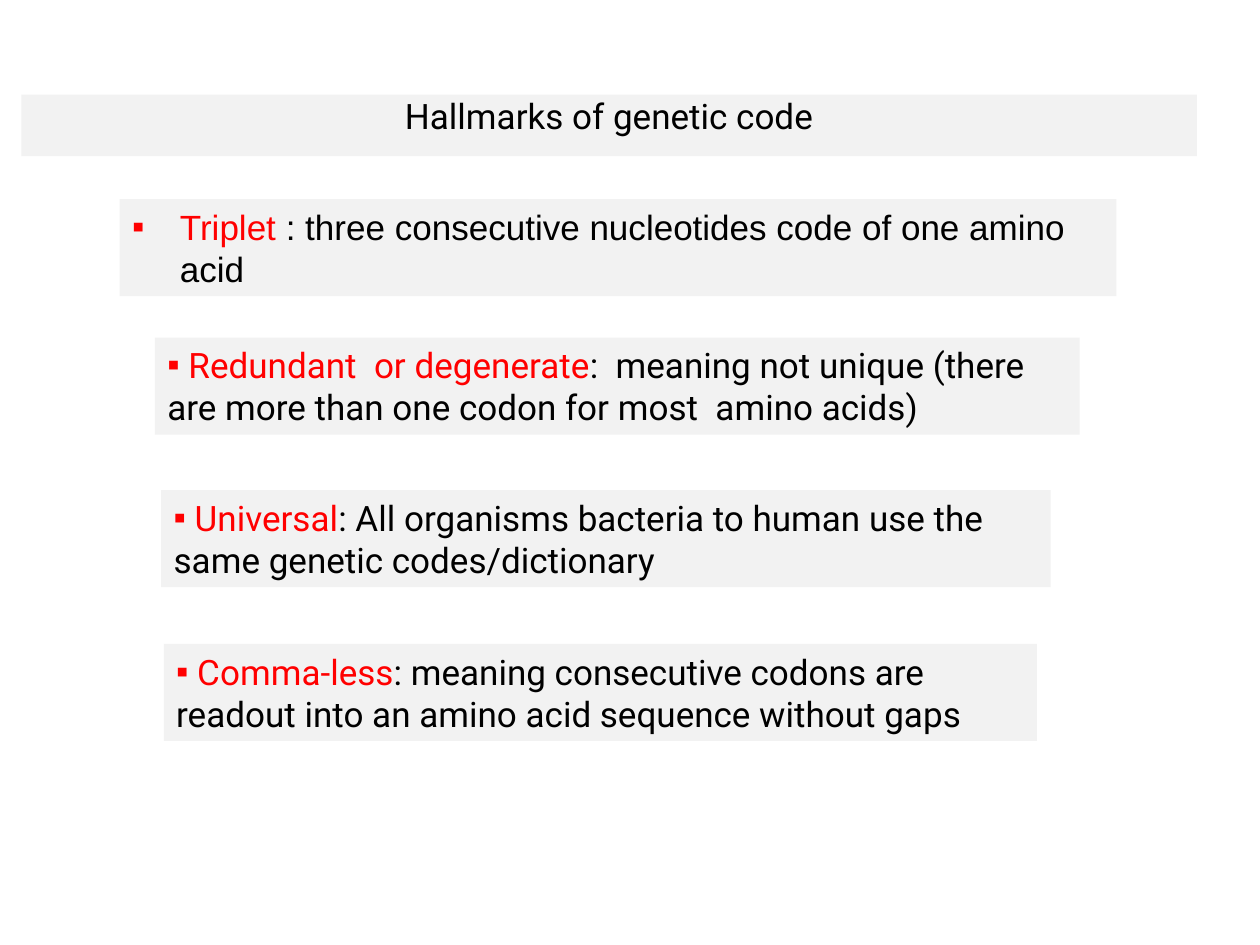
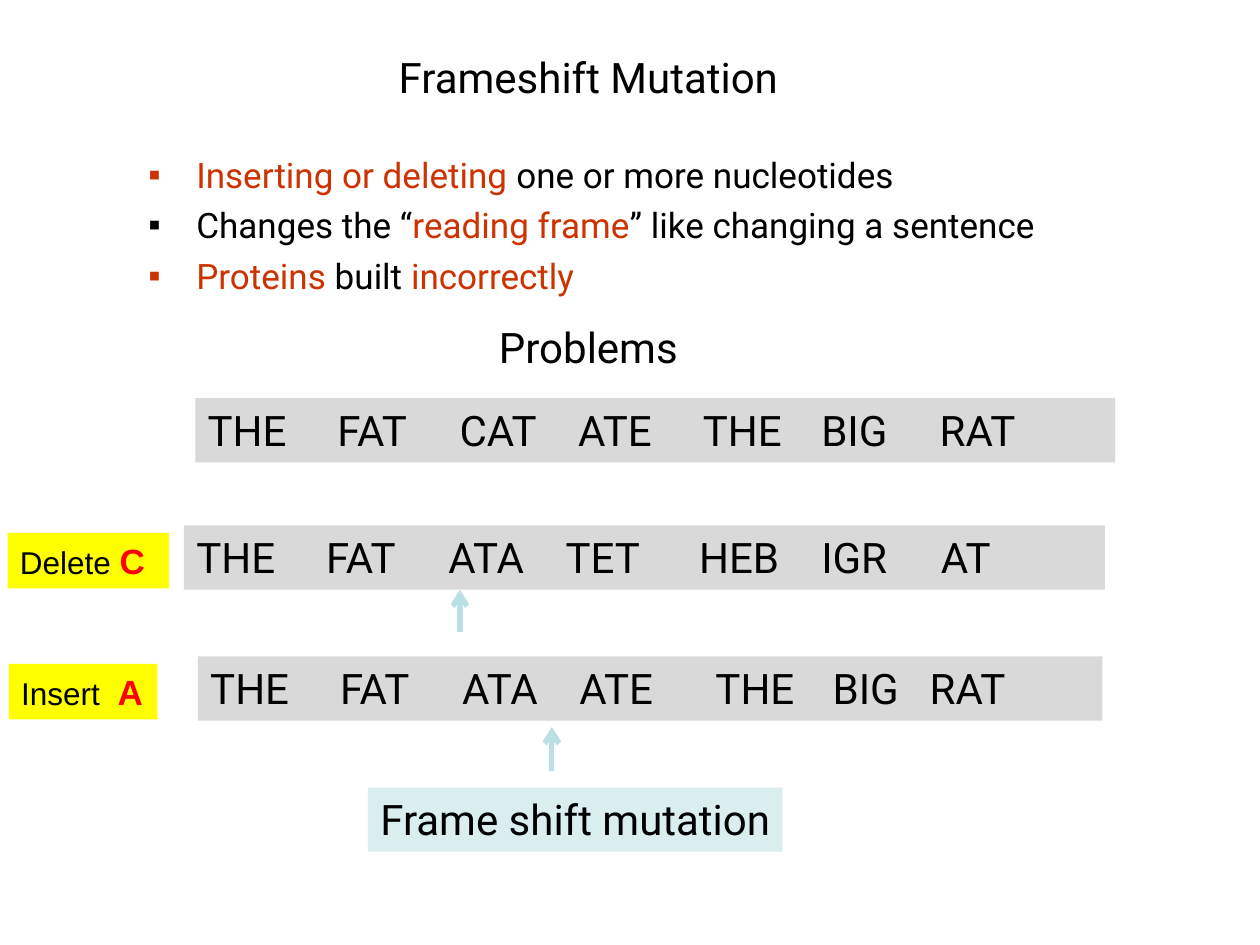
from dataclasses import dataclass
from lxml import etree
from pptx import Presentation
from pptx.dml.color import RGBColor
from pptx.enum.shapes import MSO_CONNECTOR as Connector, MSO_SHAPE as Shape
from pptx.enum.text import MSO_ANCHOR as Anchor, PP_ALIGN as Align
from pptx.oxml.ns import qn
from pptx.util import Inches, Pt


@dataclass(frozen=True)
class Theme:
    black: str = "000000"
    red: str = "FF0000"
    rust: str = "CC3300"
    panel: str = "F2F2F2"
    strip: str = "D9D9D9"
    yellow: str = "FFFF00"
    aqua: str = "DAEDEF"
    arrow: str = "BBE0E3"
    sans: str = "Roboto"
    plain: str = "Arial"
    heading: int = 24
    body: int = 20
    label: int = 18
    indent: float = 0.38
    paragraph_gap: float = 4.7
    arrow_width: int = 3


THEME = Theme()

# Content: runs are (text, colour); places are (left, top, width, height)
HALLMARKS_TITLE = ("Hallmarks of genetic code", (0.17, 0.75, 9.33, 0.49))
HALLMARKS = [
    # term, explanation, place, font, hanging indent
    ("Triplet ", ": three consecutive nucleotides code of one amino acid",
     (0.95, 1.58, 7.91, 0.77), THEME.plain, THEME.indent),
    (" Redundant  or degenerate",
     ":  meaning not unique (there are more than one codon for most  amino acids)",
     (1.23, 2.68, 7.34, 0.77), THEME.sans, 0),
    (" Universal", ": All organisms bacteria to human use the same genetic codes/dictionary",
     (1.28, 3.89, 7.06, 0.77), THEME.sans, 0),
    (" Comma-less",
     ": meaning consecutive codons are readout into an amino acid sequence without gaps",
     (1.3, 5.11, 6.93, 0.77), THEME.sans, 0),
]

FRAMESHIFT_HEADINGS = [
    ("Frameshift Mutation", (1.42, 0.25, 6.5, 0.71)),
    ("Problems", (2.71, 2.5, 3.92, 0.5)),
]
FRAMESHIFT_POINTS = [
    [("Inserting or deleting ", THEME.rust), ("one or more nucleotides", THEME.black)],
    [("Changes the “", THEME.black), ("reading frame", THEME.rust),
     ("” like changing a sentence", THEME.black)],
    [("Proteins", THEME.rust), (" built ", THEME.black), ("incorrectly", THEME.rust)],
]
POINTS_PLACE = (1.08, 1.17, 8.25, 1.33)
SENTENCES = [
    # words, tab stops, place
    ("THE FAT CAT ATE THE BIG RAT", (1.03, 2, 2.94, 3.93, 4.87, 5.81), (1.55, 3.16, 7.3, 0.51)),
    ("THE FAT ATA TET HEB IGR AT", (1.03, 2, 2.93, 3.99, 4.96, 5.91), (1.46, 4.17, 7.31, 0.51)),
    ("THE FAT ATA ATE THE BIG RAT", (1.03, 2, 2.93, 4.01, 4.94, 5.71), (1.57, 5.21, 7.18, 0.51)),
]
EDITS = [
    # action, letter, place
    ("Delete ", "C", (0.06, 4.23, 1.28, 0.44)),
    ("Insert  ", "A", (0.07, 5.27, 1.18, 0.44)),
]
ARROWS = [(3.65, 5.02, 4.68), (4.38, 6.12, 5.77)]  # x, start y, tip y
RESULT = ("Frame shift mutation", (2.92, 6.25, 3.29, 0.51))


def add_box(slide, place, fill=None, anchor=Anchor.TOP, wrap=True):
    """Add a filled rectangle, or a text box when there is no fill."""
    place = [Inches(length) for length in place]
    if fill:
        shape = slide.shapes.add_shape(Shape.RECTANGLE, *place)
        shape.shadow.inherit = False
        shape.fill.solid()
        shape.fill.fore_color.rgb = RGBColor.from_string(fill)
        shape.line.fill.background()
    else:
        shape = slide.shapes.add_textbox(*place)
    shape.text_frame.word_wrap = wrap
    shape.text_frame.vertical_anchor = anchor
    return shape


def write(paragraph, runs, size, font=THEME.sans, align=Align.LEFT):
    paragraph.alignment = align
    for text, color in runs:
        run = paragraph.add_run()
        run.text = text
        run.font.name = font
        run.font.size = Pt(size)
        run.font.color.rgb = RGBColor.from_string(color)


def add_bullet(paragraph, color, indent):
    properties = paragraph._p.get_or_add_pPr()
    properties.set("marL", str(Inches(indent)))
    properties.set("indent", str(-Inches(indent)))
    bullet_color = etree.SubElement(properties, qn("a:buClr"))
    etree.SubElement(bullet_color, qn("a:srgbClr"), val=color)
    etree.SubElement(properties, qn("a:buFont"), typeface=THEME.plain)
    etree.SubElement(properties, qn("a:buChar"), char="▪")


def add_tabs(paragraph, stops):
    tabs = etree.SubElement(paragraph._p.get_or_add_pPr(), qn("a:tabLst"))
    for stop in stops:
        etree.SubElement(tabs, qn("a:tab"), pos=str(Inches(stop)), algn="l")


def add_heading(slide, text, place, size=THEME.heading, fill=None, anchor=Anchor.MIDDLE):
    shape = add_box(slide, place, fill, anchor)
    write(shape.text_frame.paragraphs[0], [(text, THEME.black)], size, align=Align.CENTER)
    return shape


def add_arrow(slide, x, start, tip):
    connector = slide.shapes.add_connector(
        Connector.STRAIGHT, Inches(x), Inches(start), Inches(x), Inches(tip))
    connector.line.color.rgb = RGBColor.from_string(THEME.arrow)
    connector.line.width = Pt(THEME.arrow_width)
    etree.SubElement(connector.line._get_or_add_ln(), qn("a:tailEnd"), type="arrow")
    etree.SubElement(connector._element.spPr, qn("a:effectLst"))


def build_hallmarks(slide):
    # The title sits at the very top of its band
    title = add_heading(slide, *HALLMARKS_TITLE, THEME.body, THEME.panel, Anchor.TOP)
    title.text_frame.margin_top = 0

    # One panel per hallmark
    for term, explanation, place, font, indent in HALLMARKS:
        paragraph = add_box(slide, place, THEME.panel).text_frame.paragraphs[0]
        add_bullet(paragraph, THEME.red, indent)
        write(paragraph, [(term, THEME.red), (explanation, THEME.black)], THEME.body, font)


def build_frameshift(slide):
    for text, place in FRAMESHIFT_HEADINGS:
        add_heading(slide, text, place)

    # Bulleted points
    text_frame = add_box(slide, POINTS_PLACE).text_frame
    for index, runs in enumerate(FRAMESHIFT_POINTS):
        paragraph = text_frame.add_paragraph() if index else text_frame.paragraphs[0]
        add_bullet(paragraph, runs[0][1], THEME.indent)
        if index:
            paragraph.space_before = Pt(THEME.paragraph_gap)
        write(paragraph, runs, THEME.body)

    # Sentences of three-letter words
    for words, stops, place in SENTENCES:
        paragraph = add_box(slide, place, THEME.strip).text_frame.paragraphs[0]
        add_tabs(paragraph, stops)
        write(paragraph, [("\t".join(words.split()), THEME.black)], THEME.heading)

    # Edit labels
    for action, letter, place in EDITS:
        paragraph = add_box(slide, place, THEME.yellow, wrap=False).text_frame.paragraphs[0]
        write(paragraph, [(action, THEME.black)], THEME.label, THEME.plain)
        write(paragraph, [(letter, THEME.red)], THEME.body, THEME.plain)
        paragraph.runs[-1].font.bold = True

    # Arrows to the shifted letters, and the result
    for arrow in ARROWS:
        add_arrow(slide, *arrow)
    text, place = RESULT
    result = add_box(slide, place, THEME.aqua, wrap=False)
    write(result.text_frame.paragraphs[0], [(text, THEME.black)], THEME.heading)


def main():
    presentation = Presentation()
    presentation.slide_width = Inches(10)
    presentation.slide_height = Inches(7.5)
    for build in (build_hallmarks, build_frameshift):
        build(presentation.slides.add_slide(presentation.slide_layouts[6]))
    presentation.save("out.pptx")


if __name__ == "__main__":
    main()
